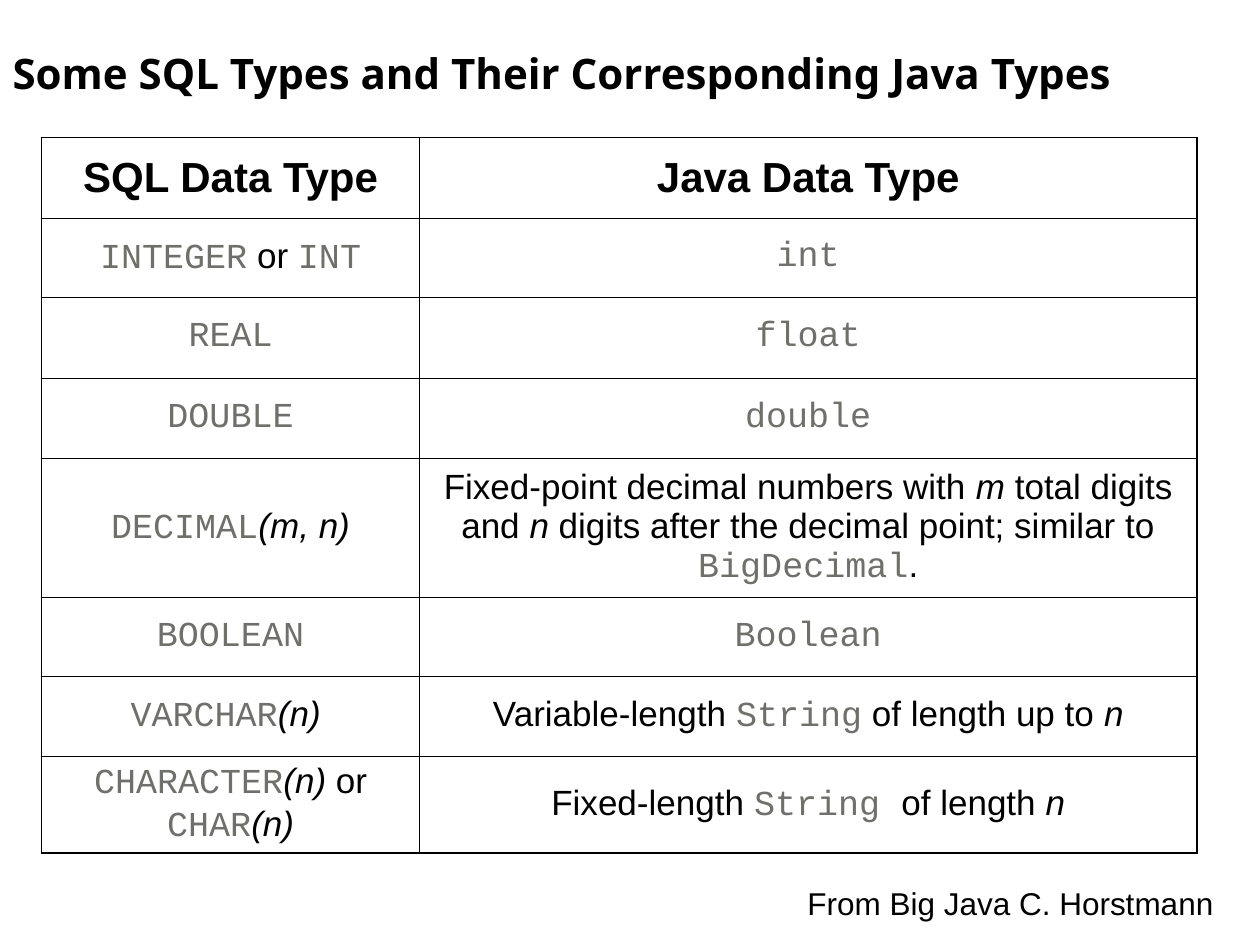
from dataclasses import dataclass
from typing import NamedTuple

from lxml import etree
from pptx import Presentation
from pptx.dml import color
from pptx.enum import text
from pptx.oxml import ns
from pptx.util import Inches, Pt


@dataclass(frozen=True)
class Theme:
    ink: str = "000000"
    code_ink: str = "6E7069"
    title_font: str = "Noto Sans"
    body_font: str = "Arial"
    code_font: str = "Courier New"
    heading: int = 24
    body: int = 20
    credit: int = 18
    outer_line: float = 1.08
    inner_line: float = 0.45


class Span(NamedTuple):
    text: str
    font: str
    ink: str
    italic: bool = False


class TypeRow(NamedTuple):
    height: float
    sql: list[Span]
    java: list[Span]


T = Theme()


def plain(words: str) -> Span:
    return Span(words, T.body_font, T.ink)


def code(words: str) -> Span:
    return Span(words, T.code_font, T.code_ink)


def var(words: str) -> Span:
    return Span(words, T.body_font, T.ink, italic=True)


HEADER = TypeRow(0.64, [plain("SQL Data Type")], [plain("Java Data Type")])
TYPES = [
    TypeRow(0.63, [code("INTEGER"), plain(" or "), code("INT")], [code("int")]),
    TypeRow(0.64, [code("REAL")], [code("float")]),
    TypeRow(0.64, [code("DOUBLE")], [code("double")]),
    TypeRow(
        1.1,
        [code("DECIMAL"), var("(m, n)")],
        [
            plain("Fixed-point decimal numbers with "),
            var("m"),
            plain(" total digits and "),
            var("n"),
            plain(" digits after the decimal point; similar to "),
            code("BigDecimal"),
            plain("."),
        ],
    ),
    TypeRow(0.63, [code("BOOLEAN")], [code("Boolean")]),
    TypeRow(
        0.63,
        [code("VARCHAR"), var("(n) ")],
        [plain("Variable-length "), code("String"), plain(" of length up to "), var("n")],
    ),
    TypeRow(
        0.77,
        [code("CHARACTER"), var("(n)"), plain(" or "), code("CHAR"), var("(n)")],
        [plain("Fixed-length "), code("String "), plain("of length "), var("n")],
    ),
]
COLUMNS = [3, 6.17]


def add_text(p, words: str, *, font: str, size: int, ink: str,
             bold: bool = False, italic: bool = False) -> None:
    r = p.add_run()
    r.text = words
    r.font.name = font
    r.font.size = Pt(size)
    r.font.bold = bold
    r.font.italic = italic
    r.font.color.rgb = color.RGBColor.from_string(ink)


def set_border(cell, side: str, width: float) -> None:
    ln = etree.SubElement(cell._tc.get_or_add_tcPr(), ns.qn(f"a:ln{side}"), w=str(Pt(width)))
    fill = etree.SubElement(ln, ns.qn("a:solidFill"))
    etree.SubElement(fill, ns.qn("a:srgbClr"), val=T.ink)


def fill_cell(cell, spans: list[Span], size: int, bold: bool, outer_sides: str) -> None:
    cell.vertical_anchor = text.MSO_ANCHOR.MIDDLE
    p = cell.text_frame.paragraphs[0]
    p.alignment = text.PP_ALIGN.CENTER
    for span in spans:
        add_text(p, span.text, font=span.font, size=size, ink=span.ink,
                 bold=bold, italic=span.italic)
    for side in "LRTB":
        set_border(cell, side, T.outer_line if side in outer_sides else T.inner_line)
    cell.fill.background()


def add_type_table(slide, rows: list[TypeRow]) -> None:
    frame = slide.shapes.add_table(
        len(rows), len(COLUMNS), Inches(0.33), Inches(1.09),
        Inches(sum(COLUMNS)), Inches(sum(row.height for row in rows)))
    table = frame.table
    table.first_row = False
    table.horz_banding = False
    for column, width in zip(table.columns, COLUMNS):
        column.width = Inches(width)
    for i, row in enumerate(rows):
        table.rows[i].height = Inches(row.height)
        edge = "T" if i == 0 else "B" if i == len(rows) - 1 else ""
        size = T.heading if i == 0 else T.body
        for j, (spans, side) in enumerate(((row.sql, "L"), (row.java, "R"))):
            fill_cell(table.cell(i, j), spans, size, i == 0, edge + side)


def add_title(slide, words: str) -> None:
    sp = slide.shapes.title
    sp.left, sp.top, sp.width, sp.height = Inches(0), Inches(0.33), Inches(9.75), Inches(0.5)
    tf = sp.text_frame
    tf.auto_size = text.MSO_AUTO_SIZE.SHAPE_TO_FIT_TEXT
    tf.vertical_anchor = text.MSO_ANCHOR.TOP
    p = tf.paragraphs[0]
    p.alignment = text.PP_ALIGN.LEFT
    add_text(p, words, font=T.title_font, size=T.heading, ink=T.ink, bold=True)


def add_credit(slide, words: str) -> None:
    sp = slide.shapes.add_textbox(Inches(6.31), Inches(6.97), Inches(3.42), Inches(0.4))
    tf = sp.text_frame
    tf.word_wrap = False
    tf.auto_size = text.MSO_AUTO_SIZE.SHAPE_TO_FIT_TEXT
    add_text(tf.paragraphs[0], words, font=T.body_font, size=T.credit, ink=T.ink)


def main() -> None:
    prs = Presentation()
    prs.slide_width, prs.slide_height = Inches(10), Inches(7.5)
    slide = prs.slides.add_slide(prs.slide_layouts[5])
    add_title(slide, "Some SQL Types and Their Corresponding Java Types")
    add_type_table(slide, [HEADER, *TYPES])
    add_credit(slide, "From Big Java C. Horstmann")
    prs.save("out.pptx")


if __name__ == "__main__":
    main()
